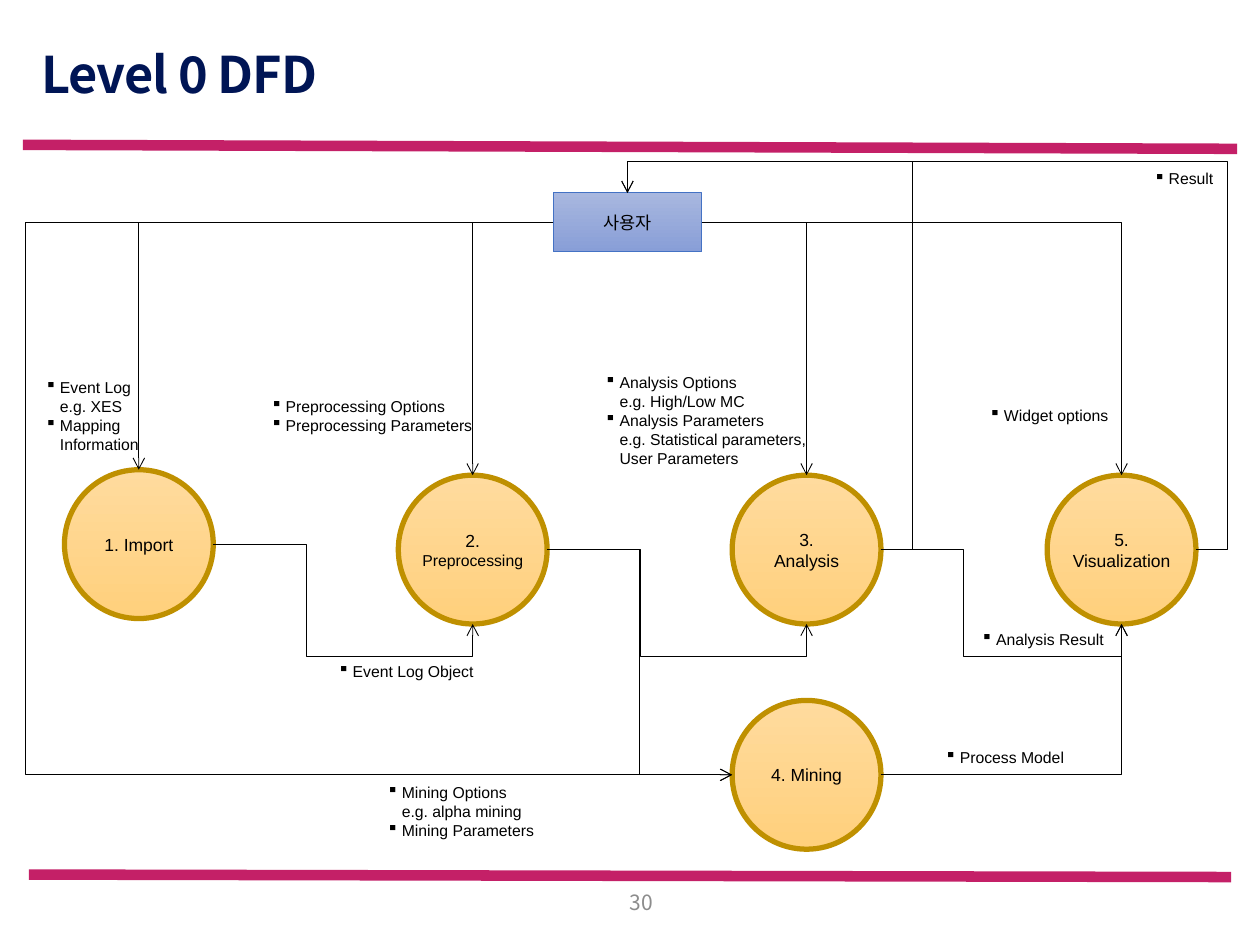
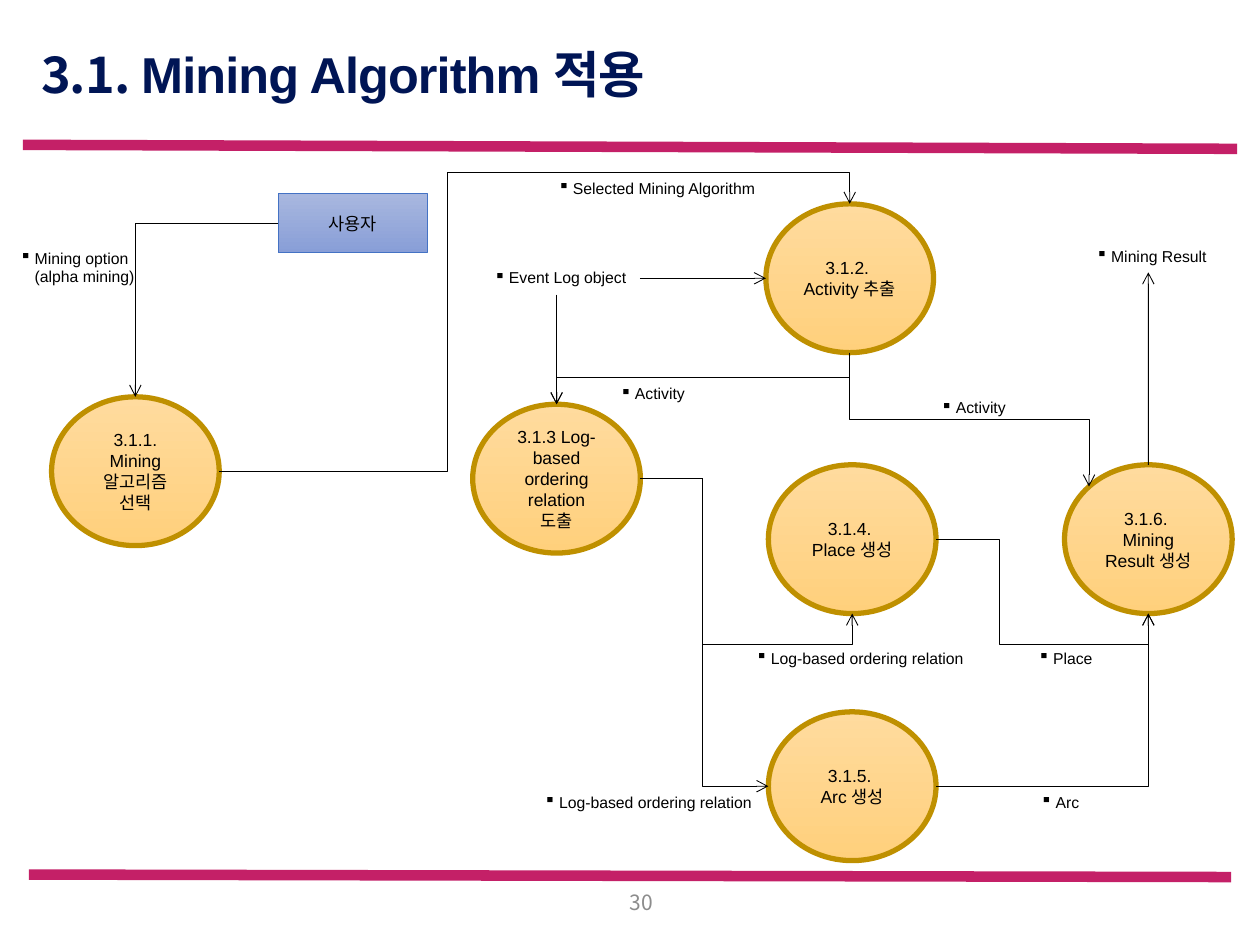
from lxml import etree
from pptx import Presentation
from pptx import util as u
from pptx.dml.color import RGBColor
from pptx.enum import shapes, text
from pptx.oxml import ns

Cm, Pt = u.Cm, u.Pt

# Shared look
NAVY = RGBColor(0x00, 0x15, 0x55)
CRIMSON = RGBColor(0xC4, 0x20, 0x67)
GRAY = RGBColor(0x8C, 0x8C, 0x8C)
BLACK = RGBColor(0, 0, 0)
GOLD = RGBColor(0xBF, 0x90, 0x00)
BLUE = RGBColor(0x44, 0x72, 0xC4)
AMBER_FADE = RGBColor(0xFF, 0xDB, 0x9E), RGBColor(0xFF, 0xD0, 0x7C)
BLUE_FADE = RGBColor(0xA8, 0xB7, 0xDF), RGBColor(0x88, 0x9E, 0xD7)
LATIN, KOREAN = "Arial", "Noto Sans CJK KR"

# Connection sites: number on a rectangle, number on an ellipse, x share, y share
SITES = {
    "top": (0, 0, 0.5, 0),
    "left": (1, 2, 0, 0.5),
    "bottom": (2, 4, 0.5, 1),
    "right": (3, 6, 1, 0.5),
    "top left": (None, 1, 0.146, 0.146),
}


def add_xml(parent, tag, **attributes):
    return etree.SubElement(parent, ns.qn(tag), attributes)


def add_span(para, words, size, color=BLACK, font=LATIN, bold=False):
    span = para.add_run()
    span.text = words
    span.font.size = Pt(size)
    span.font.name = font
    span.font.bold = bold
    span.font.color.rgb = color
    add_xml(span.font._element, "a:ea", typeface=KOREAN)
    return span


def add_box(page, left, top, width, height, wrap=True):
    box = page.shapes.add_textbox(Cm(left), Cm(top), Cm(width), Cm(height))
    box.text_frame.word_wrap = wrap
    return box.text_frame


# Lines and arrows
def style_line(line, color, width, arrow=False):
    line.line.color.rgb = color
    line.line.width = Pt(width)
    if arrow:
        add_xml(line.line._ln, "a:tailEnd", type="arrow")
    add_xml(line._element.spPr, "a:effectLst")


def add_rule(page, x1, y1, x2, y2):
    rule = page.shapes.add_connector(
        shapes.MSO_CONNECTOR.STRAIGHT, Cm(x1), Cm(y1), Cm(x2), Cm(y2))
    style_line(rule, CRIMSON, 6)


def site_point(shape, side):
    _, _, across, down = SITES[side]
    return (int(shape.left + across * shape.width),
            int(shape.top + down * shape.height))


def add_arrow(page, start, end):
    arrow = page.shapes.add_connector(shapes.MSO_CONNECTOR.STRAIGHT, *start, *end)
    style_line(arrow, BLACK, 0.5, arrow=True)


def glue(flow, tag, shape, side):
    is_oval = shape.auto_shape_type == shapes.MSO_SHAPE.OVAL
    add_xml(flow._element.nvCxnSpPr.cNvCxnSpPr, tag,
            id=str(shape.shape_id), idx=str(SITES[side][is_oval]))


def add_flow(page, source, out_side, target, in_side, x=None, y=None):
    """Elbow arrow between two shapes; x and y (cm) place its middle legs."""
    x1, y1 = site_point(source, out_side)
    x2, y2 = site_point(target, in_side)
    bends = []
    if x is not None:
        bends.append((Cm(x) - x1) / (x2 - x1))
    if y is not None:
        bends.append((Cm(y) - y1) / (y2 - y1))
    starts_down = out_side == "bottom"
    if starts_down:  # the preset leaves sideways, so turn it a quarter
        mid_x, mid_y = (x1 + x2) // 2, (y1 + y2) // 2
        half_x, half_y = (x2 - x1) // 2, (y2 - y1) // 2
        x1, y1 = mid_x - half_y, mid_y + half_x
        x2, y2 = mid_x + half_y, mid_y - half_x
    flow = page.shapes.add_connector(shapes.MSO_CONNECTOR.ELBOW, x1, y1, x2, y2)
    props = flow._element.spPr
    if starts_down:
        props.find(ns.qn("a:xfrm")).set("rot", "5400000")
    geometry = props.find(ns.qn("a:prstGeom"))
    geometry.set("prst", f"bentConnector{len(bends) + 2}")
    guides = geometry.find(ns.qn("a:avLst"))
    for number, share in enumerate(bends, 1):
        add_xml(guides, "a:gd", name=f"adj{number}",
                fmla=f"val {round(share * 100000)}")
    glue(flow, "a:stCxn", source, out_side)
    glue(flow, "a:endCxn", target, in_side)
    style_line(flow, BLACK, 0.5, arrow=True)


# Nodes and labels
def add_node(page, kind, place, fade, edge, edge_width, paras, side_inset=0.25):
    node = page.shapes.add_shape(kind, *(Cm(length) for length in place))
    node.shadow.inherit = False
    node.fill.gradient()
    node.fill.gradient_angle = 270
    for stop, color in zip(node.fill.gradient_stops, fade):
        stop.color.rgb = color
    node.line.color.rgb = edge
    node.line.width = Pt(edge_width)
    frame = node.text_frame
    frame.word_wrap = True
    frame.vertical_anchor = text.MSO_ANCHOR.MIDDLE
    frame.margin_left = frame.margin_right = Cm(side_inset)
    for index, spans in enumerate(paras):
        para = frame.add_paragraph() if index else frame.paragraphs[0]
        para.alignment = text.PP_ALIGN.CENTER
        for words, size in spans:
            add_span(para, words, size)
    return node


def add_process(page, left, top, width, *lines, side_inset=0.25):
    paras = [[(line, 10)] if isinstance(line, str) else line for line in lines]
    return add_node(page, shapes.MSO_SHAPE.OVAL, (left, top, width, 3),
                    AMBER_FADE, GOLD, 3, paras, side_inset)


def add_user(page, left, top):
    return add_node(page, shapes.MSO_SHAPE.RECTANGLE, (left, top, 3, 1.19),
                    BLUE_FADE, BLUE, 0.5, [[("사용자", 10)]])


def add_label(page, left, top, width, *items):
    """Bulleted flow label; a line feed inside an item is a line break."""
    line_count = sum(item.count("\n") + 1 for item in items)
    frame = add_box(page, left, top, width, 0.25 + 0.38 * line_count, wrap=False)
    for index, item in enumerate(items):
        para = frame.add_paragraph() if index else frame.paragraphs[0]
        props = para._p.get_or_add_pPr()
        props.set("marL", str(Cm(0.48)))
        props.set("indent", str(-Cm(0.3)))
        add_xml(props, "a:buChar", char="▪")
        for number, line in enumerate(item.split("\n")):
            if number:
                para.add_line_break()
            add_span(para, line, 9)


# Page frame
def add_page(deck, *title_spans):
    page = deck.slides.add_slide(deck.slide_layouts[6])
    add_rule(page, 0.46, 2.92, 24.94, 3)
    add_rule(page, 0.58, 17.63, 24.82, 17.68)
    frame = add_box(page, 0.58, 1.02, 23.9, 1.09)
    frame.vertical_anchor = text.MSO_ANCHOR.MIDDLE
    para = frame.paragraphs[0]
    para.line_spacing = 0.9
    for words, font in title_spans:
        span = add_span(para, words, 28.8, NAVY, font, bold=True)
        span.font._element.set("spc", "-50")
    frame = add_box(page, 11.91, 17.91, 1.5, 0.56)
    frame.vertical_anchor = text.MSO_ANCHOR.MIDDLE
    frame.paragraphs[0].alignment = text.PP_ALIGN.RIGHT
    add_span(frame.paragraphs[0], "30", 12, GRAY, KOREAN)
    return page


def build_level_0(deck):
    page = add_page(deck, ("Level 0 DFD", KOREAN))

    # Processes
    user = add_user(page, 11.15, 3.89)
    importing = add_process(page, 1.3, 9.47, 3, "1. Import")
    preparing = add_process(page, 8.03, 9.58, 3,
                            [("2. ", 10), ("Preprocessing", 9)], side_inset=0)
    analysis = add_process(page, 14.76, 9.58, 3, "3. Analysis")
    mining = add_process(page, 14.76, 14.12, 3, "4. Mining")
    visual = add_process(page, 21.11, 9.58, 3, "5. Visualization", side_inset=0)

    # Flows
    add_flow(page, user, "left", importing, "top")
    add_flow(page, user, "left", preparing, "top")
    add_flow(page, user, "left", mining, "left", x=0.51)
    add_flow(page, user, "right", analysis, "top")
    add_flow(page, user, "right", visual, "top")
    add_flow(page, importing, "right", preparing, "bottom", x=6.17, y=13.23)
    add_flow(page, preparing, "right", analysis, "bottom", x=12.9, y=13.23)
    add_flow(page, preparing, "right", mining, "left", x=12.9)
    add_flow(page, analysis, "right", visual, "bottom", x=19.43, y=13.23)
    add_flow(page, mining, "right", visual, "bottom")
    add_flow(page, analysis, "right", user, "top", x=18.39, y=3.25)
    add_flow(page, visual, "right", user, "top", x=24.74, y=3.25)

    # Labels
    add_label(page, 0.48, 7.49, 2.59, "Event Log\ne.g. XES", "Mapping\nInformation")
    add_label(page, 5.03, 7.87, 4.78, "Preprocessing Options",
              "Preprocessing Parameters")
    add_label(page, 11.76, 7.39, 4.78, "Analysis Options\ne.g. High/Low MC",
              "Analysis Parameters\ne.g. Statistical parameters,\nUser Parameters")
    add_label(page, 7.37, 15.65, 3.68, "Mining Options\ne.g. alpha mining",
              "Mining Parameters")
    add_label(page, 19.51, 8.05, 3.12, "Widget options")
    add_label(page, 19.35, 12.57, 3.18, "Analysis Result")
    add_label(page, 18.62, 14.94, 3.12, "Process Model")
    add_label(page, 6.38, 13.21, 3.45, "Event Log Object")
    add_label(page, 22.83, 3.28, 1.9, "Result")


def build_mining(deck):
    page = add_page(deck, ("3.1. ", KOREAN), ("Mining Algorithm 적용", LATIN))

    # Processes
    width = 3.38
    user = add_user(page, 5.61, 3.91)
    choose = add_process(page, 1.04, 8, width, "3.1.1. Mining 알고리즘 선택")
    extract = add_process(page, 15.44, 4.11, width, "3.1.2. ", "Activity 추출")
    order = add_process(page, 9.53, 8.15, width,
                        "3.1.3 Log-based ordering relation 도출")
    place = add_process(page, 15.49, 9.37, width, "3.1.4. ", "Place 생성")
    arc = add_process(page, 15.49, 14.35, width, "3.1.5. ", "Arc 생성")
    result = add_process(page, 21.46, 9.37, width, "3.1.6. ", "Mining Result 생성")

    # Flows
    add_flow(page, user, "left", choose, "top")
    add_flow(page, choose, "right", extract, "top", x=9.02, y=3.48)
    add_flow(page, extract, "bottom", order, "top", y=7.62)
    add_flow(page, extract, "bottom", result, "top left", y=8.46)
    add_flow(page, order, "right", place, "bottom", x=14.17, y=13)
    add_flow(page, order, "right", arc, "left", x=14.17)
    add_flow(page, place, "right", result, "bottom", x=20.14, y=13)
    add_flow(page, arc, "right", result, "bottom")
    add_arrow(page, (Cm(11.22), Cm(5.94)), site_point(order, "top"))
    add_arrow(page, (Cm(12.9), Cm(5.61)), site_point(extract, "left"))
    add_arrow(page, site_point(result, "top"), (Cm(23.15), Cm(5.49)))

    # Labels
    add_label(page, -0.03, 4.88, 3.02, "Mining option\n(alpha mining)")
    add_label(page, 9.53, 5.28, 3.38, "Event Log object")
    add_label(page, 10.82, 3.48, 4.72, "Selected Mining Algorithm")
    add_label(page, 12.07, 7.62, 2.01, "Activity")
    add_label(page, 18.54, 7.9, 2.01, "Activity")
    add_label(page, 14.81, 12.95, 4.9, "Log-based ordering relation")
    add_label(page, 10.54, 15.85, 4.9, "Log-based ordering relation")
    add_label(page, 20.5, 12.95, 1.8, "Place")
    add_label(page, 20.55, 15.85, 1.47, "Arc")
    add_label(page, 21.67, 4.85, 2.97, "Mining Result")


def main():
    deck = Presentation()
    deck.slide_width, deck.slide_height = Cm(25.4), Cm(19.05)
    build_level_0(deck)
    build_mining(deck)
    deck.save("out.pptx")


if __name__ == "__main__":
    main()
